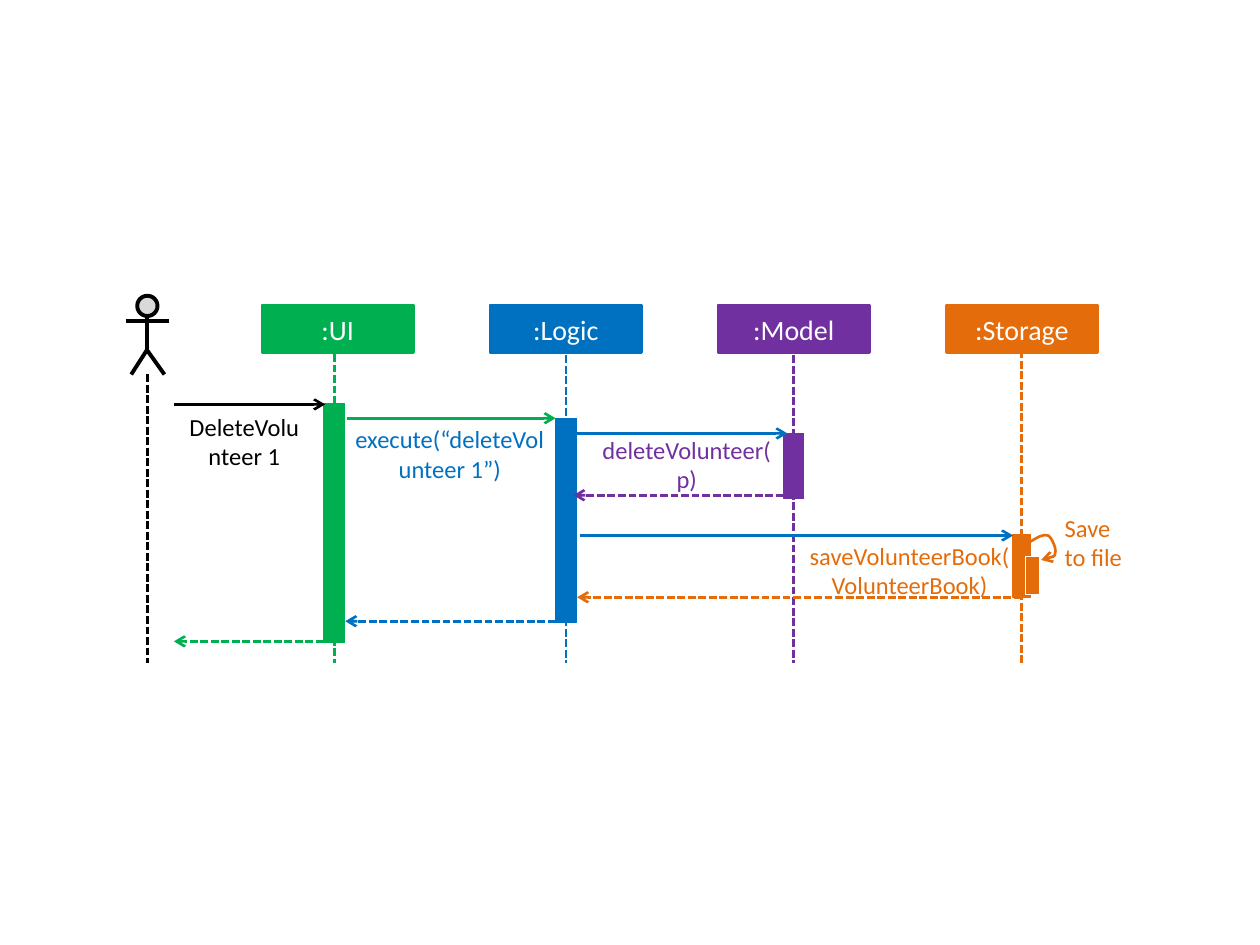
import lxml.etree
import pptx
import pptx.dml.color
import pptx.enum.dml
import pptx.enum.shapes
import pptx.enum.text
import pptx.oxml.ns
import pptx.util

Pt = pptx.util.Pt
RGBColor = pptx.dml.color.RGBColor
qn = pptx.oxml.ns.qn
SHAPE = pptx.enum.shapes.MSO_SHAPE
ALIGN = pptx.enum.text.PP_ALIGN

BLACK = RGBColor(0x00, 0x00, 0x00)
WHITE = RGBColor(0xFF, 0xFF, 0xFF)
GRAY = RGBColor(0xD9, 0xD9, 0xD9)
GREEN = RGBColor(0x00, 0xB0, 0x50)
BLUE = RGBColor(0x00, 0x70, 0xC0)
PURPLE = RGBColor(0x70, 0x30, 0xA0)
ORANGE = RGBColor(0xE4, 0x6C, 0x0A)

FONT = "Calibri"
HEADER_LEFT, HEADER_STEP = 149.8, 130.3
HEADER_TOP, HEADER_WIDTH, HEADER_HEIGHT = 174.2, 86.4, 27.4
LIFELINE_BOTTOM = 378.7
ACTOR_X = 84.2

# name, colour, lifeline x, lifeline top, activation top, width, height
PARTICIPANTS = [
    (":UI", GREEN, 191, 202.3, 230.4, 12.2, 136.8),
    (":Logic", BLUE, 323.5, 203, 239, 12.2, 116.6),
    (":Model", PURPLE, 453.6, 203, 247.7, 11.5, 37.4),
    (":Storage", ORANGE, 583.9, 200.2, 305.3, 10.1, 36),
]

# start x, end x, y, colour, dashed
MESSAGES = [
    (99.4, 185.8, 231.1, BLACK, False),
    (198, 317.5, 239, GREEN, False),
    (329, 450, 247.7, BLUE, False),
    (447.8, 327.6, 283, PURPLE, True),
    (331.2, 578.9, 306, BLUE, False),
    (583.9, 329.8, 341.3, ORANGE, True),
    (317.5, 197.3, 355, BLUE, True),
    (185, 99.4, 366.5, GREEN, True),
]

# text, left, top, width, colour, alignment
LABELS = [
    ("DeleteVolunteer 1", 105.8, 235.4, 67.7, BLACK, ALIGN.CENTER),
    ("execute(“deleteVolunteer 1”)", 200.9, 242.6, 112.3, BLUE, ALIGN.CENTER),
    ("deleteVolunteer(p)", 344.2, 248.4, 96.5, PURPLE, ALIGN.CENTER),
    ("saveVolunteerBook(VolunteerBook)", 462.2, 308.9, 115.2, ORANGE, ALIGN.CENTER),
    ("Save \vto file", 608.4, 293, 42.5, ORANGE, ALIGN.LEFT),
]


def style_line(line, color, width, dashed=False, arrow=False):
    line.color.rgb = color
    line.width = Pt(width)
    if dashed:
        line.dash_style = pptx.enum.dml.MSO_LINE.SQUARE_DOT
    if arrow:
        ln = line._get_or_add_ln()
        lxml.etree.SubElement(ln, qn("a:tailEnd"), type="arrow")


def add_line(shapes, start, end, color, width=1.5, dashed=False, arrow=False):
    connector = shapes.add_connector(
        pptx.enum.shapes.MSO_CONNECTOR.STRAIGHT, *map(Pt, start + end))
    style_line(connector.line, color, width, dashed, arrow)
    lxml.etree.SubElement(connector._element.spPr, qn("a:effectLst"))


def add_block(shapes, kind, left, top, width, height, fill, outline, line_width):
    block = shapes.add_shape(kind, Pt(left), Pt(top), Pt(width), Pt(height))
    block.shadow.inherit = False
    block.fill.solid()
    block.fill.fore_color.rgb = fill
    style_line(block.line, outline, line_width)
    return block


def add_open_outline(shapes, points, color, width, arrow=False):
    builder = shapes.build_freeform(*points[0], scale=pptx.util.Length(Pt(1)))
    builder.add_line_segments(points[1:], close=False)
    outline = builder.convert_to_shape()
    outline.shadow.inherit = False
    outline.fill.background()
    style_line(outline.line, color, width, arrow=arrow)
    return outline


def bend(outline):
    """Turn every three line segments into one cubic Bezier segment."""
    segments = list(outline._element.iter(qn("a:lnTo")))
    for first in range(0, len(segments), 3):
        curve = lxml.etree.Element(qn("a:cubicBezTo"))
        segments[first].addprevious(curve)
        for segment in segments[first:first + 3]:
            curve.append(segment[0])
            segment.getparent().remove(segment)


def write(paragraph, text, size, color, alignment):
    paragraph.text = text
    paragraph.alignment = alignment
    paragraph.font.name = FONT
    paragraph.font.size = Pt(size)
    paragraph.font.color.rgb = color


def add_label(shapes, text, left, top, width, color, alignment):
    frame = shapes.add_textbox(Pt(left), Pt(top), Pt(width), Pt(33.9)).text_frame
    frame.word_wrap = True
    frame.auto_size = pptx.enum.text.MSO_AUTO_SIZE.SHAPE_TO_FIT_TEXT
    frame.margin_left = frame.margin_right = 0
    frame.margin_top = frame.margin_bottom = 0
    write(frame.paragraphs[0], text, 14, color, alignment)


def add_participant(shapes, index, name, color, x, line_top, top, width, height):
    header = add_block(shapes, SHAPE.RECTANGLE, HEADER_LEFT + index * HEADER_STEP,
                       HEADER_TOP, HEADER_WIDTH, HEADER_HEIGHT, color, color, 1.5)
    header.text_frame.vertical_anchor = pptx.enum.text.MSO_ANCHOR.MIDDLE
    write(header.text_frame.paragraphs[0], name, 16, WHITE, ALIGN.CENTER)
    add_line(shapes, (x, line_top), (x, LIFELINE_BOTTOM), color, dashed=True)
    add_block(shapes, SHAPE.RECTANGLE, x - width / 2, top, width, height,
              color, color, 0.75)


def add_actor(shapes):
    figure = shapes.add_group_shape().shapes
    hip, foot = 200.2, 213.8
    add_block(figure, SHAPE.FLOWCHART_CONNECTOR, ACTOR_X - 5.8, 169, 11.6, 11.6,
              GRAY, BLACK, 2.25)
    add_line(figure, (ACTOR_X, 180.4), (ACTOR_X, hip), BLACK, 2.25)
    add_open_outline(figure, [(ACTOR_X - 9.4, foot), (ACTOR_X, hip),
                              (ACTOR_X + 9.4, foot)], BLACK, 2.25)
    add_line(figure, (ACTOR_X - 12.4, 183.2), (ACTOR_X + 12.4, 183.2), BLACK, 2.25)
    add_line(shapes, (ACTOR_X, foot), (ACTOR_X, LIFELINE_BOTTOM), BLACK, dashed=True)


def add_self_call(shapes):
    group = shapes.add_group_shape().shapes
    loop = add_open_outline(group, [
        (588.4, 310.3), (592.6, 307.4), (596.2, 305.3), (599, 306),
        (601.2, 306.7), (604.1, 313.9), (603.4, 316.1),
        (602.6, 318.2), (599, 319.7), (594.9, 320.3)], ORANGE, 1.5, arrow=True)
    bend(loop)
    add_block(group, SHAPE.RECTANGLE, 586.1, 318.2, 7.9, 21.6, ORANGE, WHITE, 0.75)


def main():
    presentation = pptx.Presentation()
    presentation.slide_width = Pt(720)
    presentation.slide_height = Pt(540)
    shapes = presentation.slides.add_slide(presentation.slide_layouts[6]).shapes
    for index, participant in enumerate(PARTICIPANTS):
        add_participant(shapes, index, *participant)
    add_actor(shapes)
    for start, end, y, color, dashed in MESSAGES:
        add_line(shapes, (start, y), (end, y), color, dashed=dashed, arrow=True)
    add_self_call(shapes)
    for label in LABELS:
        add_label(shapes, *label)
    presentation.save("out.pptx")


if __name__ == "__main__":
    main()
